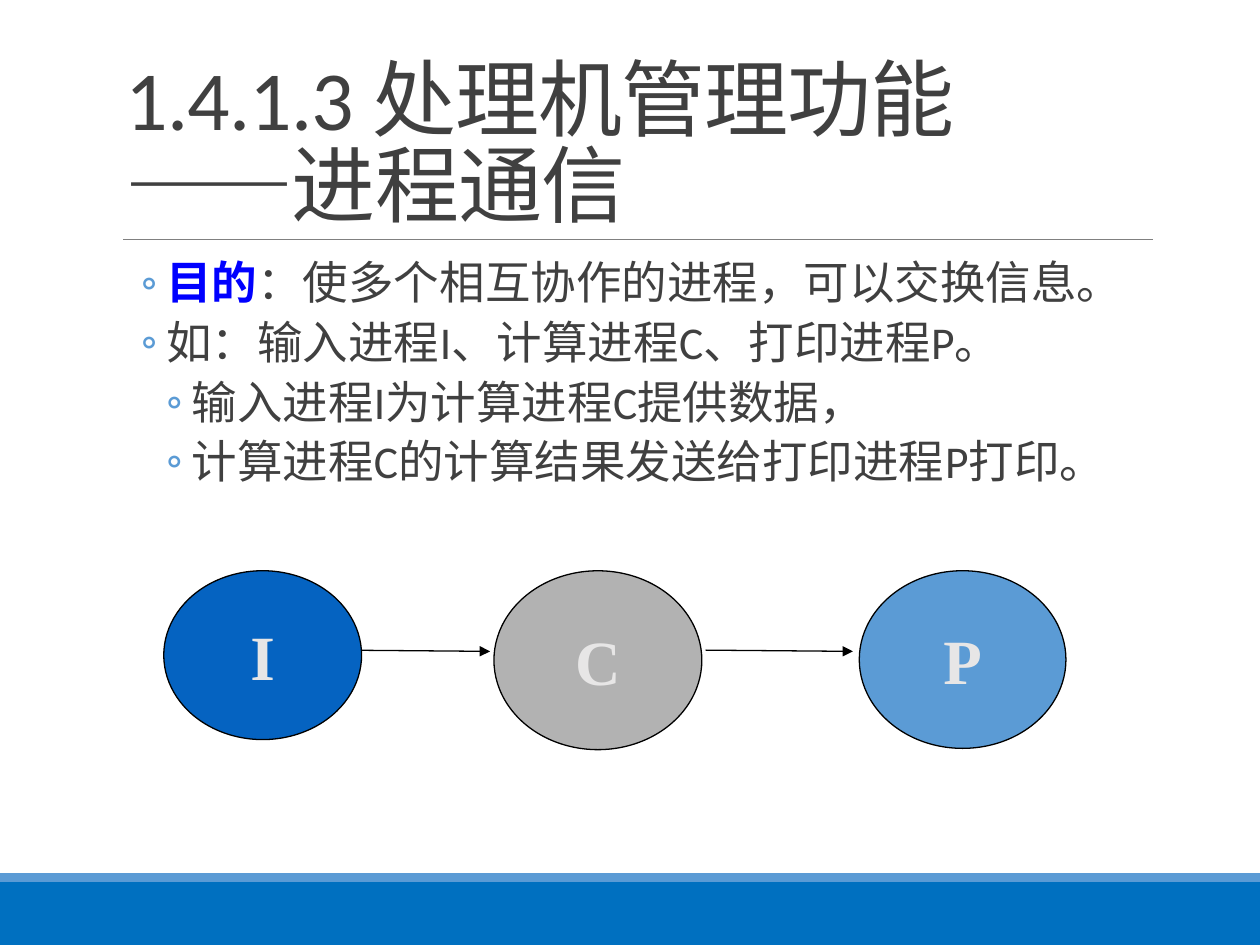
from lxml import etree
from pptx import Presentation
from pptx import util as u
from pptx.dml.color import RGBColor
from pptx.enum import shapes, text
from pptx.oxml.ns import qn

TEXT, BLACK, ACCENT = "404040", "000000", "5B9BD5"


def color(value):
    return RGBColor.from_string(value)


def add_run(p, words, size, hue, bold=False, font="Calibri"):
    r = p.add_run()
    r.text = words
    r.font.size = u.Pt(size)
    r.font.name = font
    r.font.bold = bold
    r.font.color.rgb = color(hue)
    return r


def add_box(s, x, y, w, h, anchor):
    sp = s.shapes.add_textbox(*map(u.Inches, (x, y, w, h)))
    tf = sp.text_frame
    tf.word_wrap = True
    tf.vertical_anchor = anchor
    return tf


def add_filled(s, kind, x, y, w, h, fill, line=None):
    sp = s.shapes.add_shape(kind, *map(u.Inches, (x, y, w, h)))
    sp.shadow.inherit = False
    sp.fill.solid()
    sp.fill.fore_color.rgb = color(fill)
    if line:
        sp.line.color.rgb = color(line)
        sp.line.width = u.Pt(0.75)
    else:
        sp.line.fill.background()
    return sp


def add_line(s, x1, y1, x2, y2, hue, width, arrow=False):
    c = s.shapes.add_connector(shapes.MSO_CONNECTOR.STRAIGHT,
                               *map(u.Inches, (x1, y1, x2, y2)))
    c.line.color.rgb = color(hue)
    c.line.width = u.Pt(width)
    if arrow:
        etree.SubElement(c.line._get_or_add_ln(), qn("a:tailEnd"), type="triangle")
    etree.SubElement(c._element.spPr, qn("a:effectLst"))


def add_title(s, lines):
    tf = add_box(s, 0.9, 0.31, 8.25, 1.59, text.MSO_ANCHOR.BOTTOM)
    p = tf.paragraphs[0]
    p.line_spacing = 0.85
    for i, words in enumerate(lines):
        if i:
            p.add_line_break()
        r = add_run(p, words, 48, TEXT)
        r.font._element.set("spc", "-50")


def add_bullets(s, items):
    tf = add_box(s, 0.9, 2.02, 8.25, 2.1, text.MSO_ANCHOR.TOP)
    tf.margin_left = tf.margin_right = 0
    for i, (level, runs) in enumerate(items):
        p = tf.add_paragraph() if i else tf.paragraphs[0]
        p.level = level
        p.line_spacing = 0.9
        p.space_before, p.space_after = u.Pt(2), u.Pt(4)
        # Hanging indent and bullet
        pPr = p._p.get_or_add_pPr()
        pPr.set("marL", str(u.Inches(0.22 + 0.2 * level)))
        pPr.set("indent", str(u.Inches(-0.2)))
        bu_clr = etree.SubElement(pPr, qn("a:buClr"))
        etree.SubElement(bu_clr, qn("a:srgbClr"), val=ACCENT)
        etree.SubElement(pPr, qn("a:buFont"), typeface="Calibri")
        etree.SubElement(pPr, qn("a:buChar"), char="◦")
        for words, hue, bold in runs:
            add_run(p, words, 26, hue, bold)


def add_process(s, name, x, w, h, fill):
    sp = add_filled(s, shapes.MSO_SHAPE.OVAL, x, 4.53, w, h, fill, BLACK)
    tf = sp.text_frame
    tf.word_wrap = False
    tf.vertical_anchor = text.MSO_ANCHOR.MIDDLE
    p = tf.paragraphs[0]
    p.alignment = text.PP_ALIGN.CENTER
    add_run(p, name, 36, "E7E6E6", True, "Times New Roman")


def main():
    prs = Presentation()
    prs.slide_width, prs.slide_height = u.Inches(10), u.Inches(7.5)
    s = prs.slides.add_slide(prs.slide_layouts[6])

    # Footer bands and title rule
    for y, h, fill in ((7, 0.5, "0070C0"), (6.93, 0.07, ACCENT)):
        add_filled(s, shapes.MSO_SHAPE.RECTANGLE, 0, y, 10, h, fill)
    add_line(s, 0.98, 1.9, 9.15, 1.9, "808080", 0.5)

    # Title and body
    add_title(s, ["1.4.1.3 处理机管理功能", "——进程通信"])
    add_bullets(s, [
        (1, [("目的", "0000FF", True),
             (":使多个相互协作的进程,可以交换信息。".replace(":", "\uff1a").replace(",", "\uff0c"),
              TEXT, False)]),
        (1, [("如\uff1a输入进程I、计算进程C、打印进程P。", TEXT, False)]),
        (2, [("输入进程I为计算进程C提供数据\uff0c", TEXT, False)]),
        (2, [("计算进程C的计算结果发送给打印进程P打印。", TEXT, False)]),
    ])

    # Process chain: arrows run behind the ovals
    for x1, x2 in ((2.72, 3.89), (5.6, 6.77)):
        add_line(s, x1, 5.16, x2, 5.17, BLACK, 0.75, arrow=True)
    for name, x, w, h, fill in (("I", 1.3, 1.57, 1.34, "0563C1"),
                                ("C", 3.92, 1.65, 1.42, "B2B2B2"),
                                ("P", 6.82, 1.64, 1.41, ACCENT)):
        add_process(s, name, x, w, h, fill)

    prs.save("out.pptx")


main()
